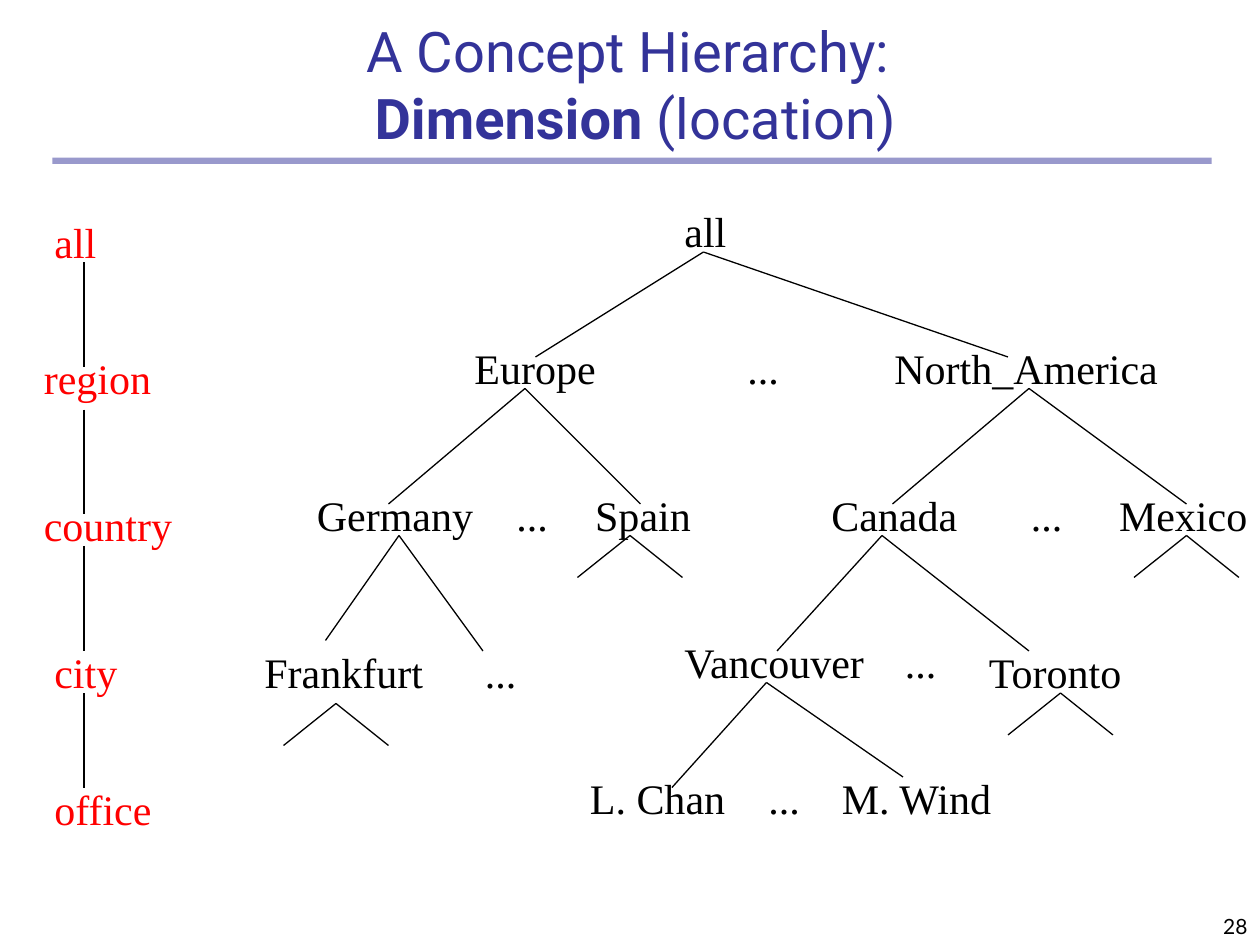
from lxml import etree
from pptx import Presentation
from pptx.dml.color import RGBColor
from pptx.enum.shapes import MSO_CONNECTOR, MSO_SHAPE
from pptx.enum.text import MSO_ANCHOR, MSO_AUTO_SIZE, PP_ALIGN
from pptx.oxml.ns import qn
from pptx.util import Cm, Pt

STRAIGHT, RECT = MSO_CONNECTOR.STRAIGHT, MSO_SHAPE.RECTANGLE
BOTTOM, TOP = MSO_ANCHOR.BOTTOM, MSO_ANCHOR.TOP
NO_FIT, GROW = MSO_AUTO_SIZE.NONE, MSO_AUTO_SIZE.SHAPE_TO_FIT_TEXT
LEFT, CENTER, RIGHT = PP_ALIGN.LEFT, PP_ALIGN.CENTER, PP_ALIGN.RIGHT

# Content: all positions and widths are in grid steps of 1/12 inch
TITLE = [("A Concept Hierarchy: \v", False), ("Dimension", True), (" (location)", False)]
PAGE = "28"
DOTS = "..."
WIDTHS = {
    "all": 6.4, "region": 12.6, "country": 14.6, "city": 8.4, "office": 11.8,
    "Europe": 14.1, "North_America": 27.5, "Germany": 17.3, "Spain": 11.6,
    "Canada": 14.4, "Mexico": 14.6, "Frankfurt": 17.6, "Vancouver": 20,
    "Toronto": 15.2, "L. Chan": 15.5, "M. Wind": 16.9, DOTS: 5.4,
}
LEVELS = [("all", 4, 20), ("region", 3, 33), ("country", 3, 47), ("city", 4, 61), ("office", 4, 74)]
TREE_ROWS = {  # top: [(text, left)]
    19: [("all", 64)],
    32: [("Europe", 44), (DOTS, 70), ("North_America", 84)],
    46: [("Germany", 29), (DOTS, 48), ("Spain", 55.5), ("Canada", 78), (DOTS, 97), ("Mexico", 105.4)],
    60: [("Vancouver", 64), (DOTS, 85)],
    61: [("Frankfurt", 24), (DOTS, 45), ("Toronto", 93)],
    73: [("L. Chan", 55), (DOTS, 72), ("M. Wind", 79)],
}
FORKS = [  # parent point, left child, right child
    ((67, 24), (51, 34), (96, 34)),
    ((50, 37), (37, 48), (61, 48)),
    ((98, 37), (85, 48), (113, 48)),
    ((38, 51), (31, 61), (46, 62)),
    ((84, 51), (74, 62), (98, 62)),
    ((73, 65), (64, 75), (86, 74)),
]
STUBS = [(60, 51), (113, 51), (32, 67), (101, 66)]  # parents of unnamed children
STUB_DX, STUB_DY = 5, 4
SPINE_X, SPINE = 8, [(25, 35), (39, 49), (52, 62), (66, 75)]

BLACK, RED, NAVY = (RGBColor.from_string(c) for c in ("000000", "FF0000", "333399"))
THEME = {
    "title": {"name": "Roboto", "size": Pt(32), "color": NAVY},
    "node": {"name": "Times New Roman", "size": Pt(24), "color": BLACK},
    "level": {"name": "Times New Roman", "size": Pt(24), "color": RED},
    "page": {"name": "Lato", "size": Pt(12), "color": BLACK},
    "rule": RGBColor.from_string("9999CC"),
    "line": {"color": BLACK, "width": Pt(0.75)},
}


def grid(*steps):
    return [Cm(n * 2.54 / 12) for n in steps]


def write(tf, runs, style, align=LEFT, **frame):
    for name, value in frame.items():
        setattr(tf, name, value)
    p = tf.paragraphs[0]
    p.alignment = align
    for text, bold in runs:
        line, *rest = text.split("\v")
        r = p.add_run()
        r.text = line
        r.font.bold = bold
        r.font.name, r.font.size = style["name"], style["size"]
        r.font.color.rgb = style["color"]
        if rest:
            p.add_line_break()


def label(s, text, left, top, style):
    sp = s.shapes.add_textbox(*grid(left, top, WIDTHS[text], 6))
    write(sp.text_frame, [(text, False)], style,
          word_wrap=False, auto_size=GROW, vertical_anchor=TOP)


def line(s, start, end):
    c = s.shapes.add_connector(STRAIGHT, *grid(*start, *end))
    c.line.color.rgb = THEME["line"]["color"]
    c.line.width = THEME["line"]["width"]
    etree.SubElement(c._element.spPr, qn("a:effectLst"))


def main():
    prs = Presentation()
    prs.slide_width, prs.slide_height = Cm(25.4), Cm(19.05)
    s = prs.slides.add_slide(prs.slide_layouts[5])

    # Title, rule beneath it and page number
    title = s.shapes.title
    title.left, title.top, title.width, title.height = grid(8, 7, 105, 8)
    write(title.text_frame, TITLE, THEME["title"], CENTER,
          word_wrap=True, auto_size=NO_FIT, vertical_anchor=BOTTOM)
    rule = s.shapes.add_shape(RECT, *grid(5, 15, 110.4, 0.6))
    rule.shadow.inherit = False
    rule.fill.solid()
    rule.fill.fore_color.rgb = THEME["rule"]
    rule.line.fill.background()
    page = s.shapes.add_textbox(*grid(95, 84, 25, 6))
    write(page.text_frame, [(PAGE, False)], THEME["page"], RIGHT,
          word_wrap=True, vertical_anchor=BOTTOM)

    # Level names and the spine that joins them
    for text, left, top in LEVELS:
        label(s, text, left, top, THEME["level"])
    for y1, y2 in SPINE:
        line(s, (SPINE_X, y1), (SPINE_X, y2))

    # Tree labels and branches
    for top, row in TREE_ROWS.items():
        for text, left in row:
            label(s, text, left, top, THEME["node"])
    stubs = [((x, y), (x - STUB_DX, y + STUB_DY), (x + STUB_DX, y + STUB_DY)) for x, y in STUBS]
    for parent, *children in FORKS + stubs:
        for child in children:
            line(s, parent, child)

    prs.save("out.pptx")


if __name__ == "__main__":
    main()
